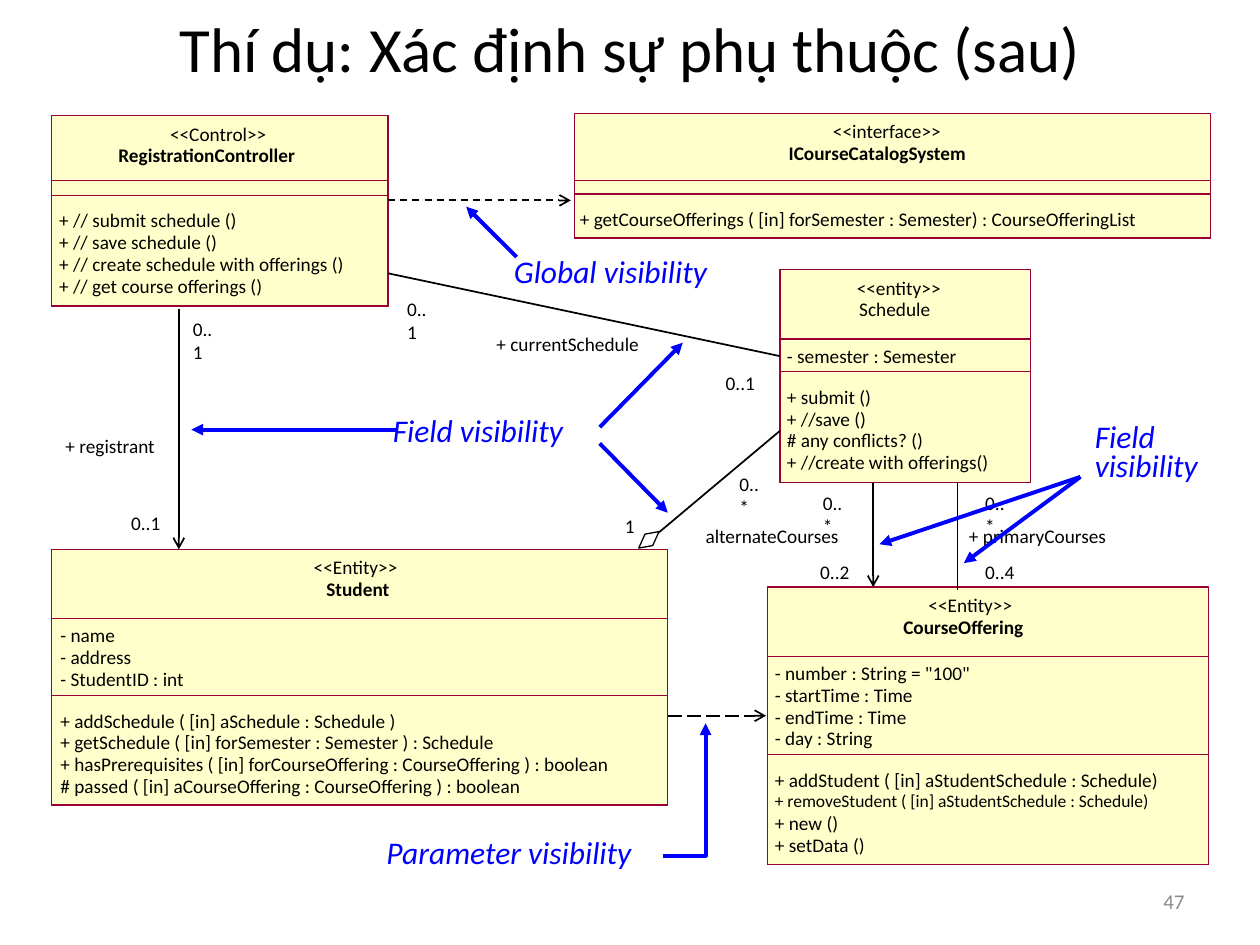
from dataclasses import dataclass

from lxml.etree import SubElement
from pptx import Presentation
from pptx.dml.color import RGBColor
from pptx.enum.dml import MSO_LINE
from pptx.enum.shapes import MSO_CONNECTOR, MSO_SHAPE
from pptx.enum.text import MSO_ANCHOR, MSO_AUTO_SIZE, PP_ALIGN
from pptx.oxml.ns import qn
from pptx.util import Pt


@dataclass(frozen=True)
class Theme:
    font: str = "Calibri"
    ink: RGBColor = RGBColor(0, 0, 0)
    note: RGBColor = RGBColor(0, 0, 255)
    class_fill: RGBColor = RGBColor(255, 255, 204)
    class_line: RGBColor = RGBColor(153, 0, 51)
    number: RGBColor = RGBColor(140, 140, 140)
    title_size: float = 36
    note_size: float = 18
    number_size: float = 12
    class_size: float = 11
    small_size: float = 10


theme = Theme()


def write_text(box, text, size=theme.class_size, color=theme.ink, bold=False, italic=False,
               align=PP_ALIGN.LEFT, anchor=MSO_ANCHOR.TOP, wrap=False, margin=0,
               side_margin=0, fit=True, later_spacing=None):
    frame = box.text_frame
    frame.word_wrap = wrap
    frame.auto_size = MSO_AUTO_SIZE.SHAPE_TO_FIT_TEXT if fit else MSO_AUTO_SIZE.NONE
    frame.vertical_anchor = anchor
    frame.margin_top = frame.margin_bottom = Pt(margin)
    frame.margin_left = frame.margin_right = Pt(side_margin)
    frame.text = text
    for index, para in enumerate(frame.paragraphs):
        para.alignment = align
        if index and later_spacing:
            para.line_spacing = later_spacing
        for span in para.runs:
            span.font.name = theme.font
            span.font.size = Pt(size)
            span.font.color.rgb = color
            span.font.bold = bold
            span.font.italic = italic


def style_line(shape, color, width, dash=None, arrow=None):
    """Format an outline or connector; arrow is the head at its last point."""
    shape.line.color.rgb = color
    shape.line.width = Pt(width)
    if dash:
        shape.line.dash_style = dash
    if arrow:
        SubElement(shape.element.spPr.find(qn("a:ln")), qn("a:tailEnd"), type=arrow)
    SubElement(shape.element.spPr, qn("a:effectLst"))


deck = Presentation()
deck.slide_width, deck.slide_height = Pt(720), Pt(540)
page = deck.slides.add_slide(deck.slide_layouts[5])
shapes = page.shapes

title = shapes.title
title.left, title.top, title.width, title.height = Pt(36), Pt(-18), Pt(648), Pt(90)
write_text(title, "Thí dụ: Xác định sự phụ thuộc (sau)", size=theme.title_size,
           align=PP_ALIGN.CENTER, anchor=MSO_ANCHOR.MIDDLE, wrap=True,
           margin=3.6, side_margin=7.2, fit=False)

# Each class: frame, tops of the two lower compartments, then its texts.
# Headings are (text, left, width); members are (text, width).
classes = [
    dict(frame=(328.3, 64.8, 363.6, 71.3), tops=(103, 110.9), indent=3,
         stereotype=("<<interface>>", 476, 62.6),
         name=("ICourseCatalogSystem", 450.7, 103), attributes=[],
         operations=[("+ getCourseOfferings ( [in] forSemester : Semester) : CourseOfferingList", 322.6)]),
    dict(frame=(29.5, 66.2, 192.2, 108.7), tops=(103, 111.6), indent=4.3,
         stereotype=("<<Control>>", 97.2, 55.4),
         name=("RegistrationController", 67.7, 103), attributes=[],
         operations=[("+ // submit schedule ()", 102.2), ("+ // save schedule ()", 105.1),
                     ("+ // create schedule with offerings ()", 164.9),
                     ("+ // get course offerings ()", 118.1)]),
    dict(frame=(445.7, 154.1, 143.3, 121.5), tops=(193.7, 212.4), indent=4,
         stereotype=("<<entity>>", 489.6, 48.2), name=("Schedule", 491, 41),
         attributes=[("- semester : Semester", 97.9)],
         operations=[("+ submit ()", 65.5), ("+ //save ()", 74.9),
                     ("# any conflicts? ()", 78.5), ("+ //create with offerings()", 121)]),
    dict(frame=(438.5, 335.5, 252, 158.4), tops=(375.1, 431.3), indent=4.3,
         stereotype=("<<Entity>>", 530.6, 48.2), name=("CourseOffering", 516.2, 69.8),
         attributes=[('- number : String = "100"', 112.3), ("- startTime : Time", 79.2),
                     ("- endTime : Time", 75.6), ("- day : String", 56.2)],
         operations=[("+ addStudent ( [in] aStudentSchedule : Schedule)", 249.8),
                     ("+ removeStudent ( [in] aStudentSchedule : Schedule)", 216.7),
                     ("+ new ()", 36.7), ("+ setData ()", 51.8)]),
    dict(frame=(29.5, 313.9, 352.1, 146.2), tops=(353.5, 397.4), indent=5,
         stereotype=("<<Entity>>", 179.3, 48.2), name=("Student", 186.5, 36.7),
         attributes=[("- name", 31.7), ("- address", 41), ("- StudentID : int", 71.3)],
         operations=[("+ addSchedule ( [in] aSchedule : Schedule )", 193),
                     ("+ getSchedule ( [in] forSemester : Semester ) : Schedule", 249.8),
                     ("+ hasPrerequisites ( [in] forCourseOffering : CourseOffering ) : boolean", 317.5),
                     ("# passed ( [in] aCourseOffering : CourseOffering ) : boolean", 266.4)]),
]
line_pitch, text_height = 12.45, 13.4
for item in classes:
    left, top, width, height = item["frame"]
    for part_top in (top, *item["tops"]):
        part = shapes.add_shape(MSO_SHAPE.RECTANGLE, Pt(left), Pt(part_top),
                                Pt(width), Pt(top + height - part_top))
        part.fill.solid()
        part.fill.fore_color.rgb = theme.class_fill
        style_line(part, theme.class_line, 0.75)
    for key, offset in (("stereotype", 3.5), ("name", 15.8)):
        text, text_left, text_width = item[key]
        box = shapes.add_textbox(Pt(text_left), Pt(top + offset), Pt(text_width), Pt(text_height))
        write_text(box, text, bold=key == "name" and text != "Schedule")
    for key, part_top, gap in zip(("attributes", "operations"), item["tops"], (2.8, 7.6)):
        for row, (text, text_width) in enumerate(item[key]):
            box = shapes.add_textbox(Pt(left + item["indent"]), Pt(part_top + gap + row * line_pitch),
                                     Pt(text_width), Pt(text_height))
            small = text.startswith("+ removeStudent")
            write_text(box, text, size=theme.small_size if small else theme.class_size)

# Roles and multiplicities: text, left, top, width
end_labels = [
    ("0..1", 110.2, 181.4, 16.6), ("+ registrant", 37.4, 248.4, 58.3),
    ("0..1", 74.9, 292.3, 18), ("0..1", 232.6, 169.9, 16.6),
    ("+ currentSchedule", 283.7, 190.1, 89.3), ("0..1", 414.7, 212.4, 18),
    ("0..*", 422.6, 270, 16.6), ("1", 357.1, 293.8, 6.5),
    ("0..*", 470.2, 280.8, 16.6), ("alternateCourses", 403.2, 299.5, 83.5),
    ("0..2", 468.7, 320.4, 18), ("0..*", 563, 280.8, 16.6),
    ("+ primaryCourses", 553.7, 299.5, 87.1), ("0..4", 563, 320.4, 18),
]
for text, left, top, width in end_labels:
    box = shapes.add_textbox(Pt(left), Pt(top), Pt(width), Pt(text_height))
    write_text(box, text, wrap=(left, top) == (422.6, 270))

# Relations, then the arrows of the notes: start, end, dash, arrowhead
relations = [
    ((221.8, 156.2), (445.7, 203.5), None, None),
    ((381.6, 409), (437.8, 409), MSO_LINE.LONG_DASH, "arrow"),
    ((221.8, 114.5), (326.2, 114.5), MSO_LINE.DASH, "arrow"),
    ((499, 275.8), (499, 335.5), None, "arrow"),
    ((547.2, 275.8), (547.2, 337), None, None),
    ((102.2, 176.4), (102.2, 313.9), None, "arrow"),
    ((445.7, 246.2), (376.6, 304.2), None, None),
]
note_arrows = [
    ((342.7, 253.4), (381.6, 293), None, "triangle"),
    ((295.2, 146.9), (266.4, 118.1), None, "triangle"),
    ((342.7, 244.1), (390.2, 195.8), None, "triangle"),
    ((226.8, 245.5), (109.4, 245.5), None, "triangle"),
    ((617.4, 272.5), (550.8, 321.8), None, "triangle"),
    ((617.4, 272.5), (502.6, 311), None, "triangle"),
]
for group, color, weight in ((relations, theme.ink, 1), (note_arrows, theme.note, 2.25)):
    for start, end, dash, arrow in group:
        connector = shapes.add_connector(MSO_CONNECTOR.STRAIGHT, *map(Pt, start + end))
        style_line(connector, color, weight, dash, arrow)

# Aggregation diamond and the bent arrow of the parameter note
outlines = [
    ([(365, 313.2), (373, 311.8), (376.6, 303.8), (368.6, 305.3)], True, theme.ink, 0.75, None),
    ([(378.7, 488.9), (403.2, 488.9), (403.2, 413.3)], False, theme.note, 2.25, "triangle"),
]
for points, closed, color, weight, arrow in outlines:
    corners = [(Pt(x), Pt(y)) for x, y in points]
    builder = shapes.build_freeform(*corners[0])
    builder.add_line_segments(corners[1:], close=closed)
    outline = builder.convert_to_shape()
    outline.fill.background()
    style_line(outline, color, weight, arrow=arrow)

notes = [
    ("Global visibility", 286.6, 140.4, 146.2, 28.8),
    ("Parameter visibility", 213.8, 472.3, 172.8, 28.8),
    ("Field visibility", 217.4, 231.1, 136.8, 28.8),
    ("Field\nvisibility", 618.5, 234.7, 80.6, 45.4),
]
for text, *place in notes:
    write_text(shapes.add_textbox(*map(Pt, place)), text, size=theme.note_size, color=theme.note,
               italic=True, wrap=True, margin=3.6, side_margin=7.2, later_spacing=0.75)

number = shapes.add_textbox(Pt(516.2), Pt(500.4), Pt(167.8), Pt(28.8))
write_text(number, "47", size=theme.number_size, color=theme.number, align=PP_ALIGN.RIGHT,
           anchor=MSO_ANCHOR.MIDDLE, wrap=True, margin=3.6, side_margin=7.2, fit=False)

deck.save("out.pptx")
